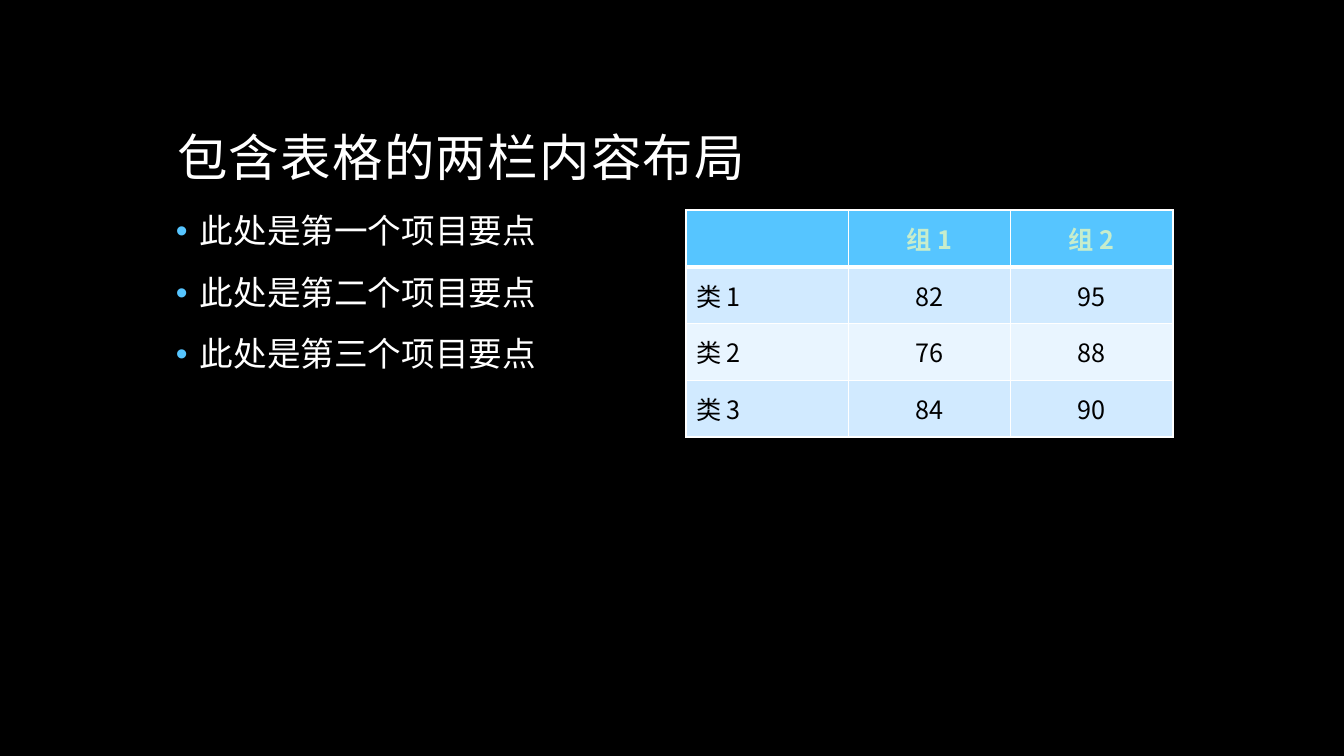
"""Build a dark slide with a title, three bullet points and a small table."""
from lxml import etree
from pptx import Presentation
from pptx import util as u
from pptx.dml.color import RGBColor
from pptx.enum import text
from pptx.oxml.ns import qn

BLACK = RGBColor(0x00, 0x00, 0x00)
WHITE = RGBColor(0xFF, 0xFF, 0xFF)
BLUE = RGBColor(0x56, 0xC5, 0xFF)
GREEN = RGBColor(0xC7, 0xED, 0xCC)
BANDS = [RGBColor(0xE9, 0xF5, 0xFF), RGBColor(0xD1, 0xEA, 0xFF)]
FONT = "Noto Sans CJK SC"
PX = 914400 / 100.8


def px(*sizes):
    """Turn pixel lengths into EMU."""
    return [u.Emu(round(size * PX)) for size in sizes]


def style(para, size, color, bold=False):
    """Format every run of a paragraph."""
    for run in para.runs:
        run.font.size = u.Pt(size)
        run.font.bold = bold
        run.font.color.rgb = color
        run.font.name = FONT
        etree.SubElement(run.font._element, qn("a:ea"), typeface=FONT)


deck = Presentation()
deck.slide_width, deck.slide_height = px(1344, 756)
slide = deck.slides.add_slide(deck.slide_layouts[5])
slide.background.fill.solid()
slide.background.fill.fore_color.rgb = BLACK

title = slide.shapes.title
title.left, title.top, title.width, title.height = px(167, 42, 1008, 151)
frame = title.text_frame
frame.text = "包含表格的两栏内容布局"
frame.vertical_anchor = text.MSO_ANCHOR.BOTTOM
frame.auto_size = text.MSO_AUTO_SIZE.NONE
head = frame.paragraphs[0]
head.alignment = text.PP_ALIGN.LEFT
head.line_spacing = 0.9
style(head, 36, WHITE)
head.runs[0].font._element.set("spc", "100")

frame = slide.shapes.add_textbox(*px(166, 210, 487, 454)).text_frame
frame.word_wrap = True
frame.text = "此处是第一个项目要点\n此处是第二个项目要点\n此处是第三个项目要点"
indent = px(24)[0]
for para in frame.paragraphs:
    para.line_spacing = 0.9
    para.space_before = u.Pt(18)
    style(para, 24, WHITE)
    props = para._p.get_or_add_pPr()
    props.set("marL", str(indent))
    props.set("indent", str(-indent))
    tint = etree.SubElement(props, qn("a:buClr"))
    etree.SubElement(tint, qn("a:srgbClr"), val=str(BLUE))
    etree.SubElement(props, qn("a:buFont"), typeface="Arial")
    etree.SubElement(props, qn("a:buChar"), char="•")

rows = [
    ["", "组 1", "组 2"],
    ["类 1", "82", "95"],
    ["类 2", "76", "88"],
    ["类 3", "84", "90"],
]
table = slide.shapes.add_table(4, 3, *px(686, 210, 487, 227)).table
for r, row in enumerate(rows):
    for c, word in enumerate(row):
        cell = table.cell(r, c)
        cell.text = word
        cell.vertical_anchor = text.MSO_ANCHOR.MIDDLE
        para = cell.text_frame.paragraphs[0]
        para.alignment = text.PP_ALIGN.CENTER if c else text.PP_ALIGN.LEFT
        style(para, 18, BLACK if r else GREEN, bold=r == 0)
        props = cell._tc.get_or_add_tcPr()
        for side in "LRTB":
            thick = (r, side) in [(0, "B"), (1, "T")]
            line = etree.SubElement(props, qn("a:ln" + side), w=str(u.Pt(3 if thick else 1)))
            fill = etree.SubElement(line, qn("a:solidFill"))
            etree.SubElement(fill, qn("a:srgbClr"), val=str(WHITE))
        cell.fill.solid()
        cell.fill.fore_color.rgb = BANDS[r % 2] if r else BLUE

deck.save("out.pptx")
